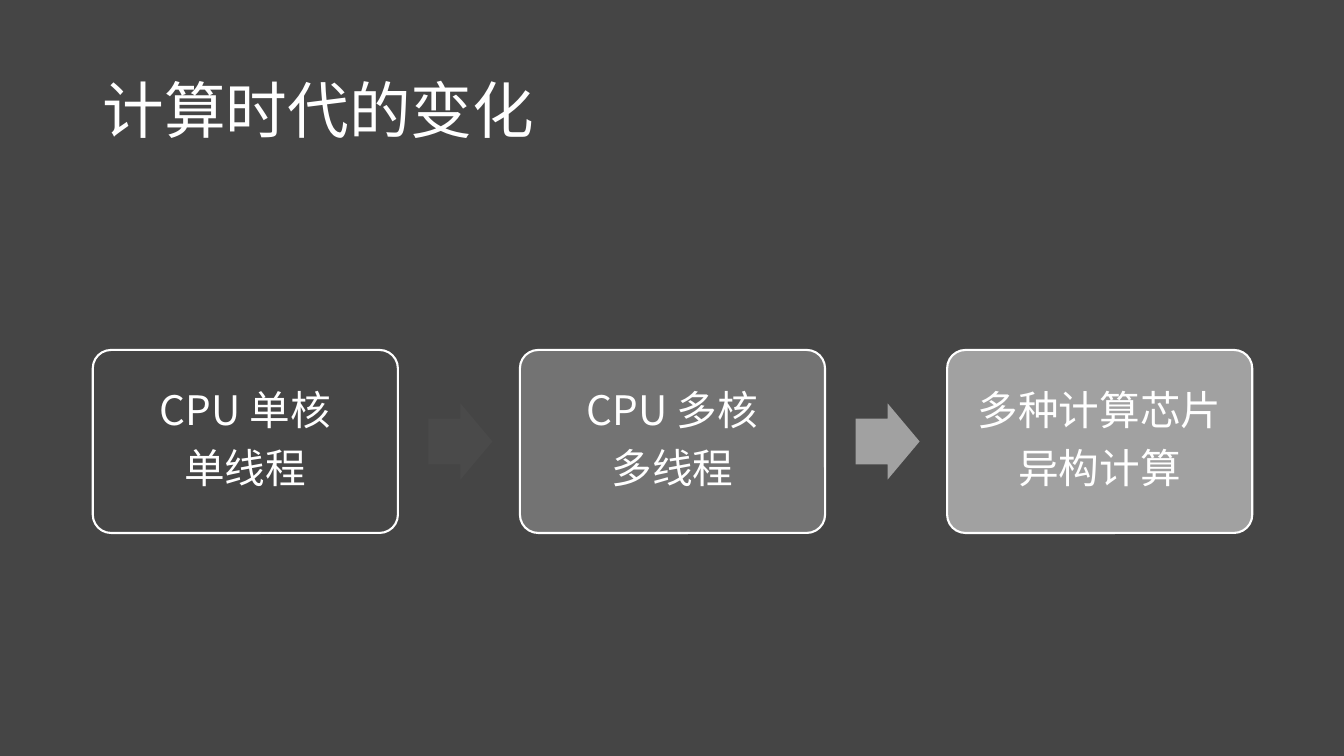
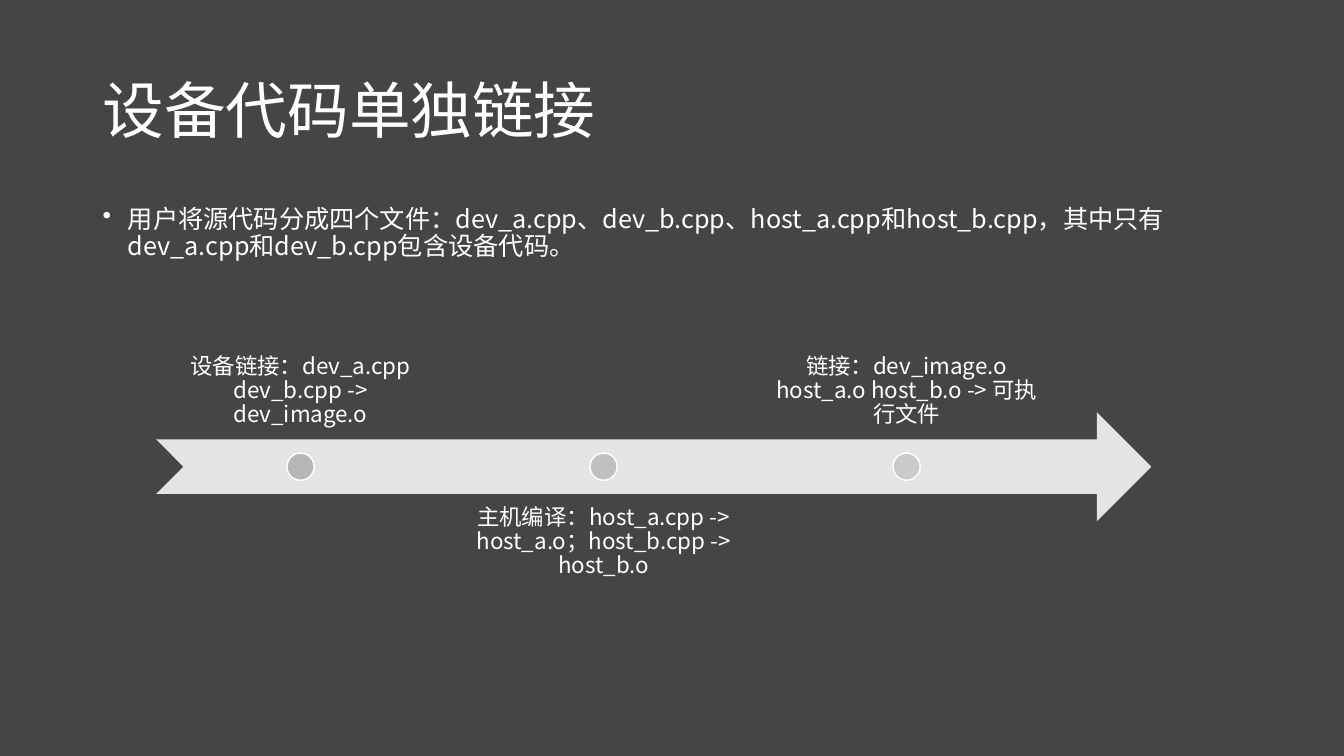
from typing import NamedTuple

from lxml.etree import SubElement
from pptx import Presentation
from pptx.dml.color import RGBColor
from pptx.enum.shapes import MSO_SHAPE as Kind
from pptx.enum.text import MSO_ANCHOR as Anchor, PP_ALIGN as Align
from pptx.oxml.ns import qn
from pptx.util import Inches, Pt

FONT = "Noto Sans CJK SC"
WHITE = RGBColor(0xFF, 0xFF, 0xFF)
BACK = RGBColor(0x45, 0x45, 0x45)
DARK = RGBColor(0x46, 0x46, 0x46)
DIM = RGBColor(0x4A, 0x4A, 0x4A)
MID = RGBColor(0x73, 0x73, 0x73)
LIGHT = RGBColor(0xA1, 0xA1, 0xA1)
BAND = RGBColor(0xE4, 0xE4, 0xE4)
DOT = RGBColor(0xB2, 0xB2, 0xB2)


class Box(NamedTuple):
    """Left, top, width and height in inches."""
    x: float
    y: float
    w: float
    h: float

    def emu(self) -> list:
        return [Inches(v) for v in self]


class Step(NamedTuple):
    lines: list
    fill: RGBColor
    arrow: RGBColor | None  # arrow that leads to the next step


class Stage(NamedTuple):
    text: str
    alpha: int  # opacity of the dot in percent


WIDE, HIGH = 13.33, 7.5
HEAD = Box(0.92, 0.4, 11.5, 1.45)
BODY = Box(0.92, 2, 11.5, 4.76)
LINE = Box(1.55, 3.28, 9.87, 2.7)

STEPS = [
    Step(["CPU 单核", "单线程"], DARK, DIM),
    Step(["CPU 多核", "多线程"], MID, LIGHT),
    Step(["多种计算芯片", "异构计算"], LIGHT, None),
]
STAGES = [
    Stage("设备链接：dev_a.cpp dev_b.cpp -> dev_image.o", 90),
    Stage("主机编译：host_a.cpp -> host_a.o；host_b.cpp -> host_b.o", 70),
    Stage("链接：dev_image.o host_a.o host_b.o -> 可执行文件", 50),
]


def write(shape, lines: list, *, size: float, align=Align.LEFT,
          anchor=Anchor.TOP, pad: float | None = None, after: float = 0,
          bullet: bool = False) -> None:
    frame = shape.text_frame
    frame.word_wrap = True
    frame.vertical_anchor = anchor
    if pad is not None:
        frame.margin_left = frame.margin_right = Inches(pad)
        frame.margin_top = frame.margin_bottom = Inches(pad)
    for i, line in enumerate(lines):
        para = frame.add_paragraph() if i else frame.paragraphs[0]
        para.alignment = align
        para.line_spacing = 0.9
        para.space_after = Pt(after)
        if bullet:
            props = para._p.get_or_add_pPr()
            props.set("marL", str(Inches(0.25)))
            props.set("indent", str(-Inches(0.25)))
            SubElement(props, qn("a:buChar"), char="•")
        run = para.add_run()
        run.text = line
        run.font.name = FONT
        run.font.size = Pt(size)
        run.font.color.rgb = WHITE
        SubElement(run.font._element, qn("a:ea"), typeface=FONT)


def label(slide, box: Box, lines: list, **form) -> None:
    write(slide.shapes.add_textbox(*box.emu()), lines, **form)


def draw(slide, kind: Kind, box: Box, fill: RGBColor, *, edge: float = 0,
         adjust: tuple = (), alpha: int = 100):
    shape = slide.shapes.add_shape(kind, *box.emu())
    shape.shadow.inherit = False
    shape.fill.solid()
    shape.fill.fore_color.rgb = fill
    if alpha < 100:
        tint = shape._element.spPr.find(qn("a:solidFill"))[0]
        SubElement(tint, qn("a:alpha"), val=str(alpha * 1000))
    if edge:
        shape.line.color.rgb = WHITE
        shape.line.width = Pt(edge)
    else:
        shape.line.fill.background()
    for i, value in enumerate(adjust):
        shape.adjustments[i] = value
    return shape


def start(deck, title: str):
    """Add a blank slide with the shared background and title."""
    slide = deck.slides.add_slide(deck.slide_layouts[6])
    slide.background.fill.solid()
    slide.background.fill.fore_color.rgb = BACK
    label(slide, HEAD, [title], size=44, anchor=Anchor.MIDDLE)
    return slide


def flow(slide, steps: list) -> None:
    """Spread boxes over the body, with gaps of 0.4 box widths."""
    wide = BODY.w / (len(steps) + 0.4 * (len(steps) - 1))
    high = 0.6 * wide
    mid = BODY.y + BODY.h / 2
    tip = 0.25 * wide
    for i, step in enumerate(steps):
        left = BODY.x + 1.4 * wide * i
        card = draw(slide, Kind.ROUNDED_RECTANGLE,
                    Box(left, mid - high / 2, wide, high), step.fill,
                    edge=1.5, adjust=(0.1,))
        write(card, step.lines, size=29, align=Align.CENTER,
              anchor=Anchor.MIDDLE, pad=0.12, after=10)
        if step.arrow is not None:
            draw(slide, Kind.RIGHT_ARROW,
                 Box(left + 1.1 * wide, mid - tip / 2, 0.21 * wide, tip),
                 step.arrow, adjust=(0.6, 0.5))


def track(slide, stages: list) -> None:
    """Draw a wide arrow with dots and labels above and below in turn."""
    band = 0.4 * LINE.h
    mid = LINE.y + LINE.h / 2
    draw(slide, Kind.NOTCHED_RIGHT_ARROW,
         Box(LINE.x, mid - band / 2, LINE.w, band), BAND)
    wide = 0.29 * LINE.w
    dot = band / 4
    for i, stage in enumerate(stages):
        left = LINE.x + 1.05 * wide * i
        low = i % 2 == 1
        top = LINE.y + (LINE.h - band if low else 0)
        label(slide, Box(left, top, wide, band), [stage.text], size=16,
              align=Align.CENTER, pad=0.12,
              anchor=Anchor.TOP if low else Anchor.BOTTOM)
        draw(slide, Kind.OVAL,
             Box(left + (wide - dot) / 2, mid - dot / 2, dot, dot), DOT,
             edge=1, alpha=stage.alpha)


def main() -> None:
    deck = Presentation()
    deck.slide_width, deck.slide_height = Inches(WIDE), Inches(HIGH)
    flow(start(deck, "计算时代的变化"), STEPS)
    slide = start(deck, "设备代码单独链接")
    label(slide, BODY, [
        "用户将源代码分成四个文件：dev_a.cpp、dev_b.cpp、host_a.cpp和"
        "host_b.cpp，其中只有dev_a.cpp和dev_b.cpp包含设备代码。",
    ], size=18, bullet=True)
    track(slide, STAGES)
    deck.save("out.pptx")


if __name__ == "__main__":
    main()
